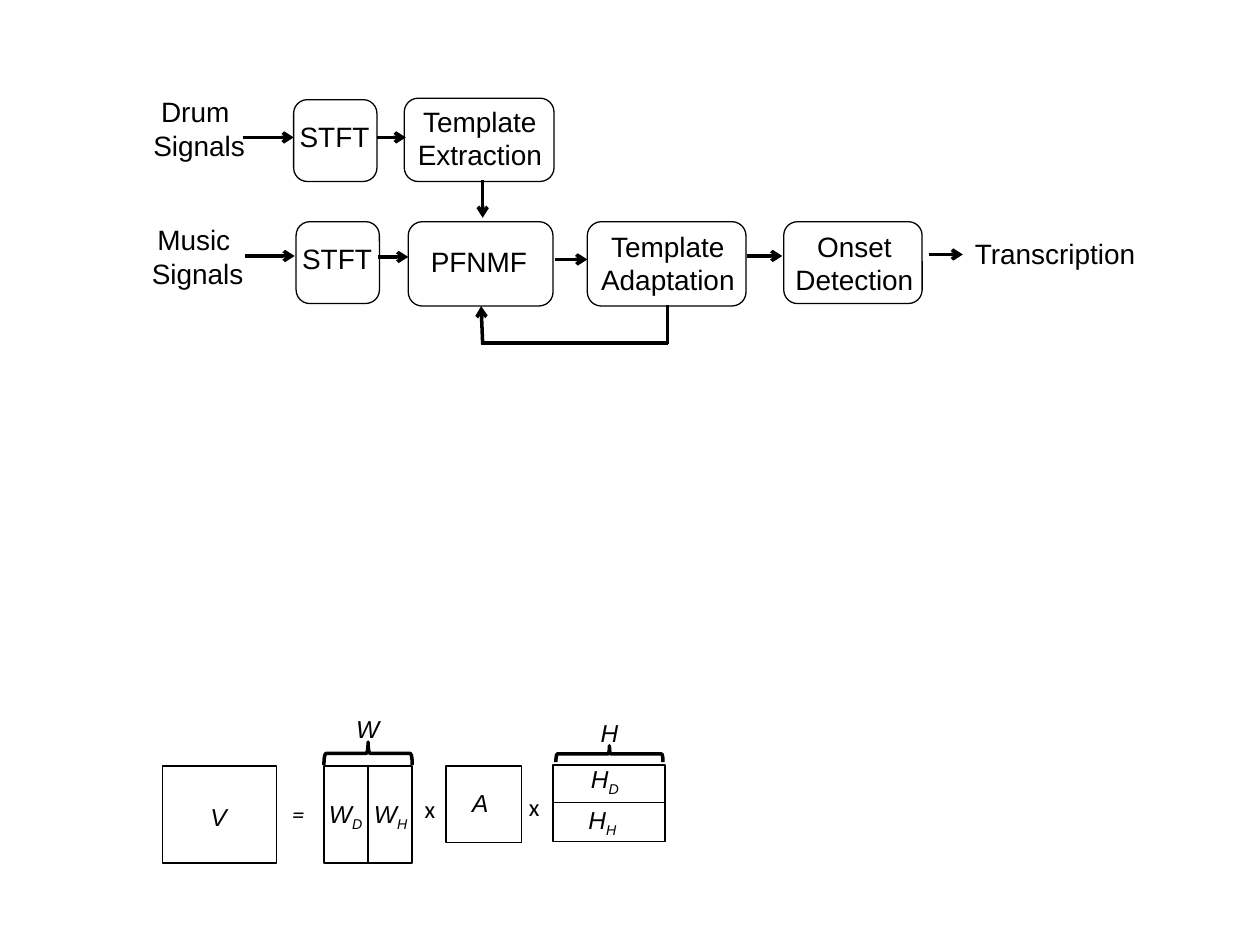
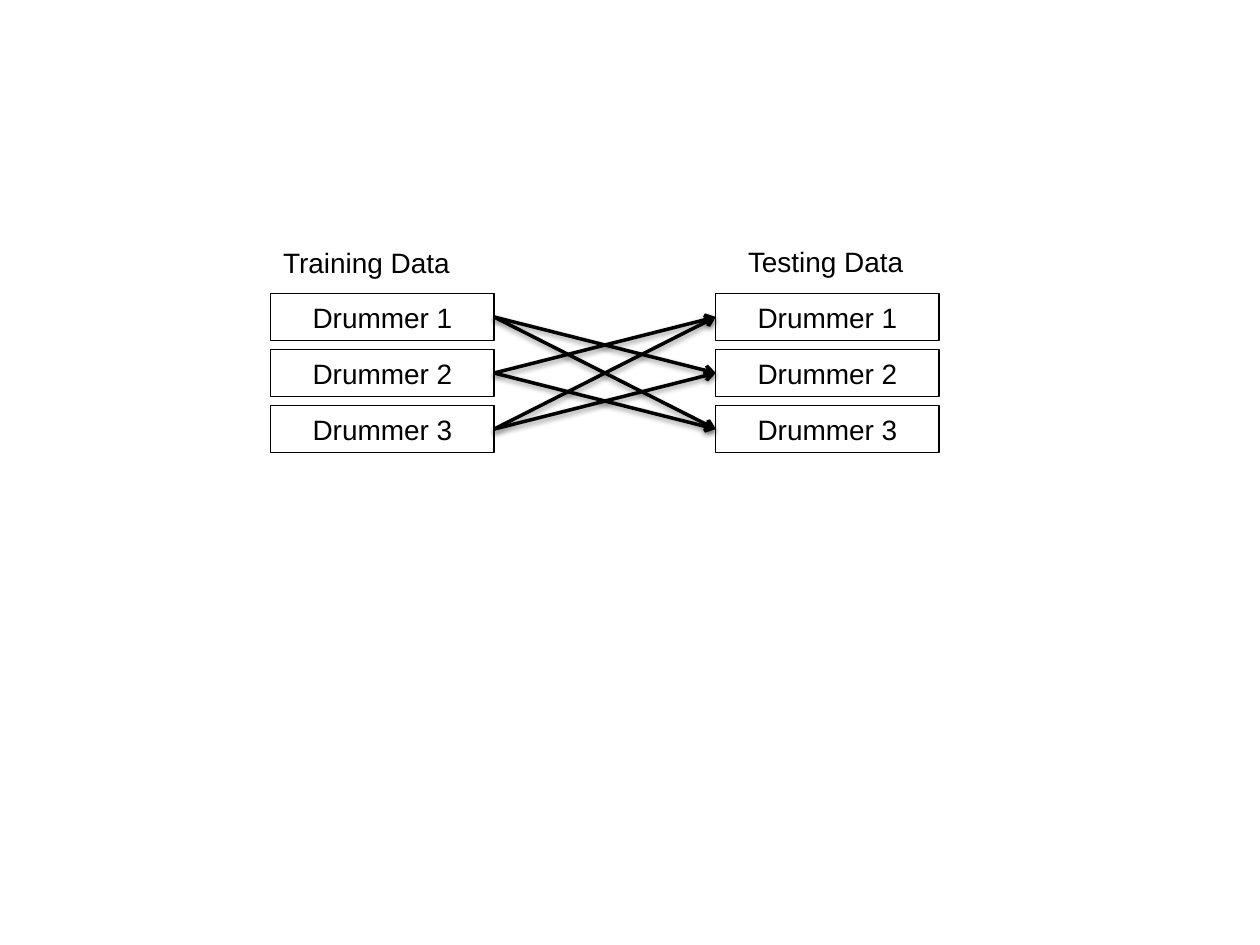
"""Builds two diagrams: a drum transcription flow and a cross-drummer evaluation."""
from lxml import etree
from pptx import Presentation
from pptx.dml.color import RGBColor
from pptx.enum.shapes import MSO_CONNECTOR, MSO_SHAPE
from pptx.enum.text import MSO_ANCHOR, MSO_AUTO_SIZE, PP_ALIGN
from pptx.oxml.ns import qn
from pptx.util import Cm, Pt

RECTANGLE = MSO_SHAPE.RECTANGLE
ROUNDED = MSO_SHAPE.ROUNDED_RECTANGLE
BRACE = MSO_SHAPE.LEFT_BRACE
STRAIGHT = MSO_CONNECTOR.STRAIGHT
CENTER, LEFT = PP_ALIGN.CENTER, PP_ALIGN.LEFT
MIDDLE, TOP = MSO_ANCHOR.MIDDLE, MSO_ANCHOR.TOP
GROW = MSO_AUTO_SIZE.SHAPE_TO_FIT_TEXT

INK = "000000"
FLOW_FONT, MATRIX_FONT, SIGN_FONT = ("Arial", 16), ("Arial", 14), ("Calibri", 14)
THIN, THICK = 0.75, 2


def color(value):
    """Turn a hex string into a colour."""
    return RGBColor.from_string(value)


class Diagram:
    """Holds the drawing style and the current slide."""

    def __init__(self, presentation):
        """Remember the presentation to which slides are added."""
        self.presentation = presentation
        self.slide = None

    def new_slide(self):
        """Start a blank slide."""
        self.slide = self.presentation.slides.add_slide(self.presentation.slide_layouts[6])

    def format_run(self, run, font, italic=False):
        """Give a run its font, size and colour."""
        run.font.name, run.font.size = font[0], Pt(font[1])
        run.font.italic = italic
        run.font.color.rgb = color(INK)

    def fill_text(self, frame, text, font, align, italic=False):
        """Fill a text frame and format its paragraphs."""
        frame.text = text
        for paragraph in frame.paragraphs:
            paragraph.alignment = align
            for run in paragraph.runs:
                self.format_run(run, font, italic)

    def outline(self, kind, place, width=THIN, rotation=0, shapes=None):
        """Draw an unfilled preset shape."""
        shapes = self.slide.shapes if shapes is None else shapes
        shape = shapes.add_shape(kind, *map(Cm, place))
        shape.shadow.inherit = False
        shape.fill.background()
        shape.line.color.rgb = color(INK)
        shape.line.width = Pt(width)
        shape.rotation = rotation
        return shape

    def label(self, place, text, font=FLOW_FONT, align=CENTER, wrap=False,
              italic=False, shapes=None):
        """Add a text box."""
        shapes = self.slide.shapes if shapes is None else shapes
        frame = shapes.add_textbox(*map(Cm, place)).text_frame
        frame.word_wrap = wrap
        frame.auto_size = GROW
        frame.vertical_anchor = TOP
        self.fill_text(frame, text, font, align, italic)
        return frame

    def symbol(self, place, name, subscript="", wrap=False):
        """Add an italic matrix name, with a subscript if given."""
        frame = self.label(place, name, MATRIX_FONT, LEFT, wrap, italic=True)
        if subscript:
            run = frame.paragraphs[0].add_run()
            run.text = subscript
            self.format_run(run, MATRIX_FONT, italic=True)
            run.font._element.set("baseline", "-25000")

    def node(self, box, text_place, text, wrap=True):
        """Group a rounded process box with its caption."""
        shapes = self.slide.shapes.add_group_shape().shapes
        self.outline(ROUNDED, box, shapes=shapes)
        self.label(text_place, text, wrap=wrap, shapes=shapes)

    def bar(self, place, text):
        """Draw a rectangle with centred text."""
        frame = self.outline(RECTANGLE, place).text_frame
        frame.word_wrap = True
        frame.vertical_anchor = MIDDLE
        self.fill_text(frame, text, FLOW_FONT, CENTER)

    def line(self, start, end, arrow=True, shadow=False):
        """Draw a thick line, with an arrowhead and a soft shadow on request."""
        connector = self.slide.shapes.add_connector(STRAIGHT, *map(Cm, start + end))
        connector.line.color.rgb = color(INK)
        connector.line.width = Pt(THICK)
        properties = connector._element.spPr
        if arrow:
            etree.SubElement(properties.find(qn("a:ln")), qn("a:tailEnd"), type="arrow")
        effects = etree.SubElement(properties, qn("a:effectLst"))
        if shadow:
            outer = etree.SubElement(effects, qn("a:outerShdw"), blurRad="40000",
                                     dist="20000", dir="5400000", rotWithShape="0")
            tint = etree.SubElement(outer, qn("a:srgbClr"), val=INK)
            etree.SubElement(tint, qn("a:alpha"), val="38000")


def draw_flow(diagram):
    """Draw the signal flow from audio to transcription."""
    diagram.label((2.82, 1.78, 2.39, 1.63), "Drum \nSignals")
    diagram.label((2.79, 4.37, 2.39, 1.63), "Music \nSignals")
    diagram.label((19.2, 4.65, 4.14, 0.94), "Transcription", wrap=True)
    for left, top in ((5.92, 2.01), (5.97, 4.47)):
        diagram.node((left, top, 1.68, 1.65), (left - 0.28, top + 0.28, 2.21, 0.38), "STFT")
    diagram.node((8.15, 1.98, 3.02, 1.68), (8.15, 1.98, 3.05, 1.63),
                 "Template\nExtraction", wrap=False)
    diagram.node((8.23, 4.47, 2.92, 1.7), (8.08, 4.8, 3.15, 0.38), "PFNMF")
    diagram.node((11.84, 4.47, 3.2, 1.7), (11.61, 4.5, 3.71, 1.52), "Template Adaptation")
    diagram.node((15.8, 4.47, 2.79, 1.65), (15.6, 4.5, 3.25, 0.61), "Onset Detection")

    for left, right, y in ((4.9, 5.92, 2.77), (7.59, 8.18, 2.77), (4.93, 5.94, 5.16),
                           (7.62, 8.23, 5.18), (11.18, 11.84, 5.23),
                           (15.06, 15.77, 5.16), (18.72, 19.41, 5.13)):
        diagram.line((left, y), (right, y))
    diagram.line((9.73, 3.63), (9.73, 4.39))

    # Feedback from adaptation to PFNMF
    diagram.line((13.46, 6.93), (13.46, 6.15), arrow=False)
    diagram.line((13.46, 6.91), (9.7, 6.91), arrow=False)
    diagram.line((9.73, 6.93), (9.7, 6.17))


def draw_factorization(diagram):
    """Draw the matrix equation V = W x A x H."""
    for place in ((3.28, 15.44, 2.29, 1.96), (6.53, 15.44, 0.89, 1.96),
                  (7.42, 15.44, 0.89, 1.96), (8.99, 15.44, 1.52, 1.55),
                  (11.15, 15.42, 2.26, 0.76), (11.15, 16.18, 2.26, 0.79)):
        diagram.outline(RECTANGLE, place)
    for place in ((7.19, 14.3, 0.46, 1.78), (12.12, 14.12, 0.33, 2.16)):
        diagram.outline(BRACE, place, THICK, rotation=90)

    height = 0.86
    diagram.symbol((3.99, 16.05, 0.99, height), "V")
    diagram.symbol((6.93, 14.27, 1.12, height), "W")
    diagram.symbol((6.38, 15.98, 1.32, height), "W", "D")
    diagram.symbol((7.29, 15.98, 1.32, height), "W", "H")
    diagram.symbol((9.27, 15.77, 0.99, height), "A")
    diagram.symbol((11.86, 14.35, 0.97, height), "H")
    diagram.symbol((11.66, 15.27, 2.18, height), "H", "D", wrap=True)
    diagram.symbol((11.61, 16.1, 1.63, height), "H", "H", wrap=True)
    diagram.label((5.64, 15.98, 0.91, height), "=", SIGN_FONT, LEFT, italic=True)
    for left, top in ((8.31, 15.88), (10.41, 15.85)):
        diagram.label((left, top, 0.74, height), "x", SIGN_FONT, LEFT)


def draw_evaluation(diagram):
    """Draw each training drummer pointing at the other drummers for testing."""
    training, testing = 5.46, 14.43
    width, height, first, step = 4.5, 0.94, 5.92, 1.13
    diagram.label((training, 4.83, 3.91, height), "Training Data", align=LEFT)
    diagram.label((14.83, 4.8, 3.68, height), "Testing Data", align=LEFT)
    tops = [first + step * index for index in range(3)]
    for left in (training, testing):
        for number, top in enumerate(tops, 1):
            diagram.bar((left, top, width, height), f"Drummer {number}")
    for source in tops:
        for target in tops:
            if source != target:
                diagram.line((training + width, source + height / 2),
                             (testing, target + height / 2), shadow=True)


def main():
    """Build and save the presentation."""
    presentation = Presentation()
    presentation.slide_width, presentation.slide_height = Cm(25.4), Cm(19.05)
    diagram = Diagram(presentation)
    diagram.new_slide()
    draw_flow(diagram)
    draw_factorization(diagram)
    diagram.new_slide()
    draw_evaluation(diagram)
    presentation.save("out.pptx")


main()
